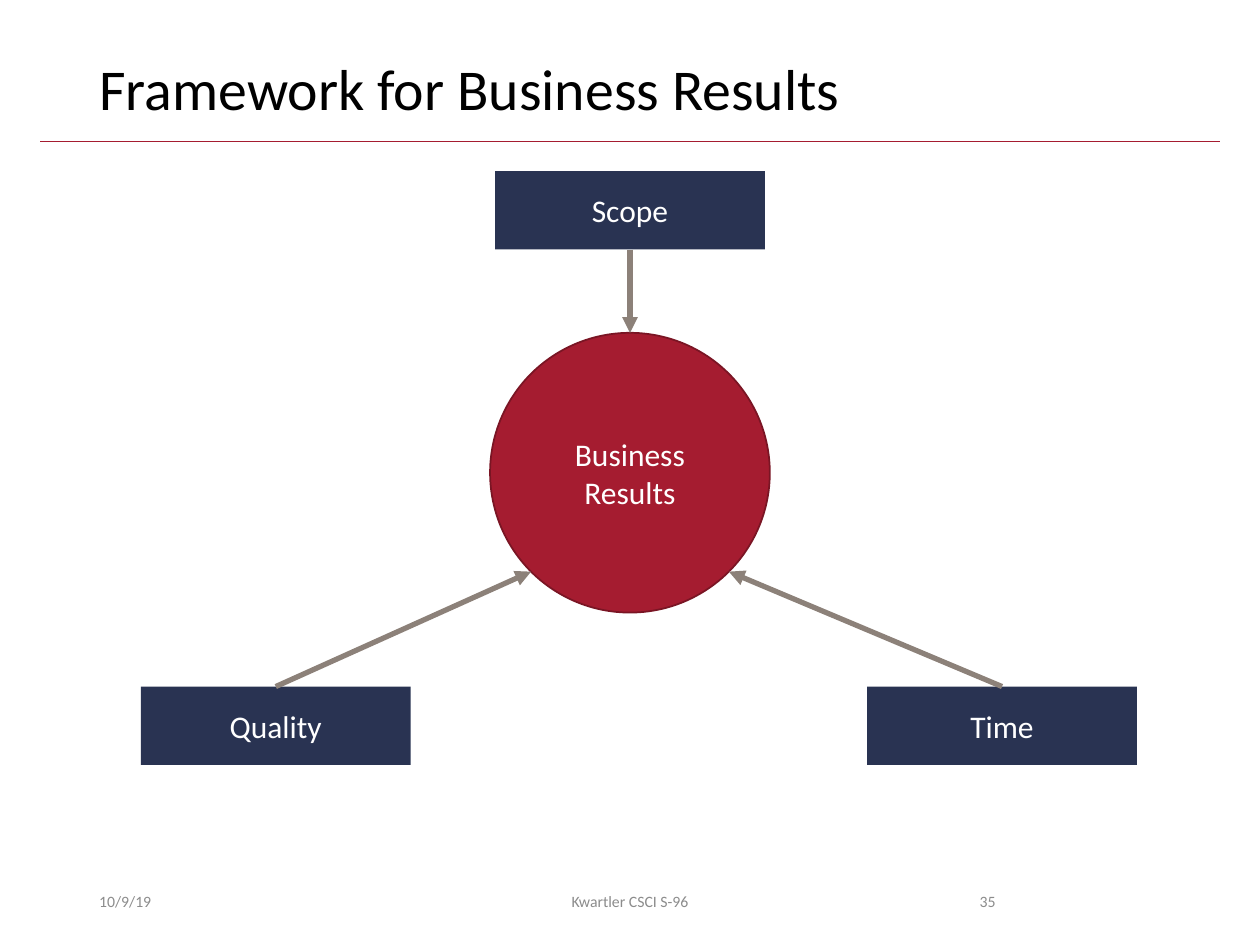
import math
from lxml import etree
from pptx import Presentation
from pptx.dml.color import RGBColor
from pptx.enum.shapes import MSO_CONNECTOR, MSO_SHAPE
from pptx.enum.text import MSO_ANCHOR, PP_ALIGN
from pptx.oxml.ns import qn
from pptx.util import Cm, Pt

STRAIGHT = MSO_CONNECTOR.STRAIGHT
RECTANGLE, OVAL = MSO_SHAPE.RECTANGLE, MSO_SHAPE.OVAL
MIDDLE = MSO_ANCHOR.MIDDLE
LEFT, CENTER, RIGHT = PP_ALIGN.LEFT, PP_ALIGN.CENTER, PP_ALIGN.RIGHT
COLORS = {
    "crimson": "A51C30",
    "crimson_edge": "7A1524",
    "navy": "293352",
    "arrow": "8C8179",
    "footer": "8C8C8C",
    "title": "000000",
    "label": "FFFFFF",
}


def write(shape, text, size, color, align):
    frame = shape.text_frame
    frame.text = text
    frame.word_wrap = True
    frame.vertical_anchor = MIDDLE
    paragraph = frame.paragraphs[0]
    paragraph.alignment = align
    paragraph.font.name = "Calibri"
    paragraph.font.size = Pt(size)
    paragraph.font.color.rgb = RGBColor.from_string(COLORS[color])
    return paragraph


def draw_line(start, end, color, width):
    line = slide.shapes.add_connector(STRAIGHT, *(Cm(v) for v in (*start, *end)))
    line.line.color.rgb = RGBColor.from_string(COLORS[color])
    line.line.width = Pt(width)
    etree.SubElement(line._element.spPr, qn("a:effectLst"))
    return line


prs = Presentation()
prs.slide_width, prs.slide_height = Cm(25.4), Cm(19.05)
slide = prs.slides.add_slide(prs.slide_layouts[5])

draw_line((0.81, 2.85), (24.59, 2.85), "crimson", 0.5)

title = slide.shapes.title
title.left, title.top, title.width, title.height = Cm(1.75), Cm(1.02), Cm(21.9), Cm(1.65)
write(title, "Framework for Business Results", 33, "title", LEFT).line_spacing = 0.9

for text, left, width, align in [
    ("10/9/19", 1.75, 5.72, LEFT),
    ("Kwartler CSCI S-96", 8.41, 8.58, CENTER),
    ("35", 17.93, 2.39, RIGHT),
]:
    footer = slide.shapes.add_textbox(Cm(left), Cm(17.65), Cm(width), Cm(1.02))
    write(footer, text, 9, "footer", align)

center_x, center_y, radius = 12.7, 9.53, 2.82
results = slide.shapes.add_shape(
    OVAL, Cm(center_x - radius), Cm(center_y - radius), Cm(2 * radius), Cm(2 * radius)
)
results.shadow.inherit = False
results.fill.solid()
results.fill.fore_color.rgb = RGBColor.from_string(COLORS["crimson"])
results.line.color.rgb = RGBColor.from_string(COLORS["crimson_edge"])
results.line.width = Pt(1)
write(results, "Business Results", 18, "label", CENTER)

box_width, box_height = 5.44, 1.58
for text, box_x, box_top, arrow_edge, angle in [
    ("Scope", center_x, 3.45, box_height, -90),
    ("Quality", 5.56, 13.84, 0, 135),
    ("Time", 20.2, 13.84, 0, 45),
]:
    driver = slide.shapes.add_shape(
        RECTANGLE, Cm(box_x - box_width / 2), Cm(box_top), Cm(box_width), Cm(box_height)
    )
    driver.shadow.inherit = False
    driver.fill.solid()
    driver.fill.fore_color.rgb = RGBColor.from_string(COLORS["navy"])
    driver.line.fill.background()
    write(driver, text, 18, "label", CENTER)

    target = (
        center_x + radius * math.cos(math.radians(angle)),
        center_y + radius * math.sin(math.radians(angle)),
    )
    arrow = draw_line((box_x, box_top + arrow_edge), target, "arrow", 3)
    etree.SubElement(arrow.line._get_or_add_ln(), qn("a:tailEnd"), type="triangle")

prs.save("out.pptx")
